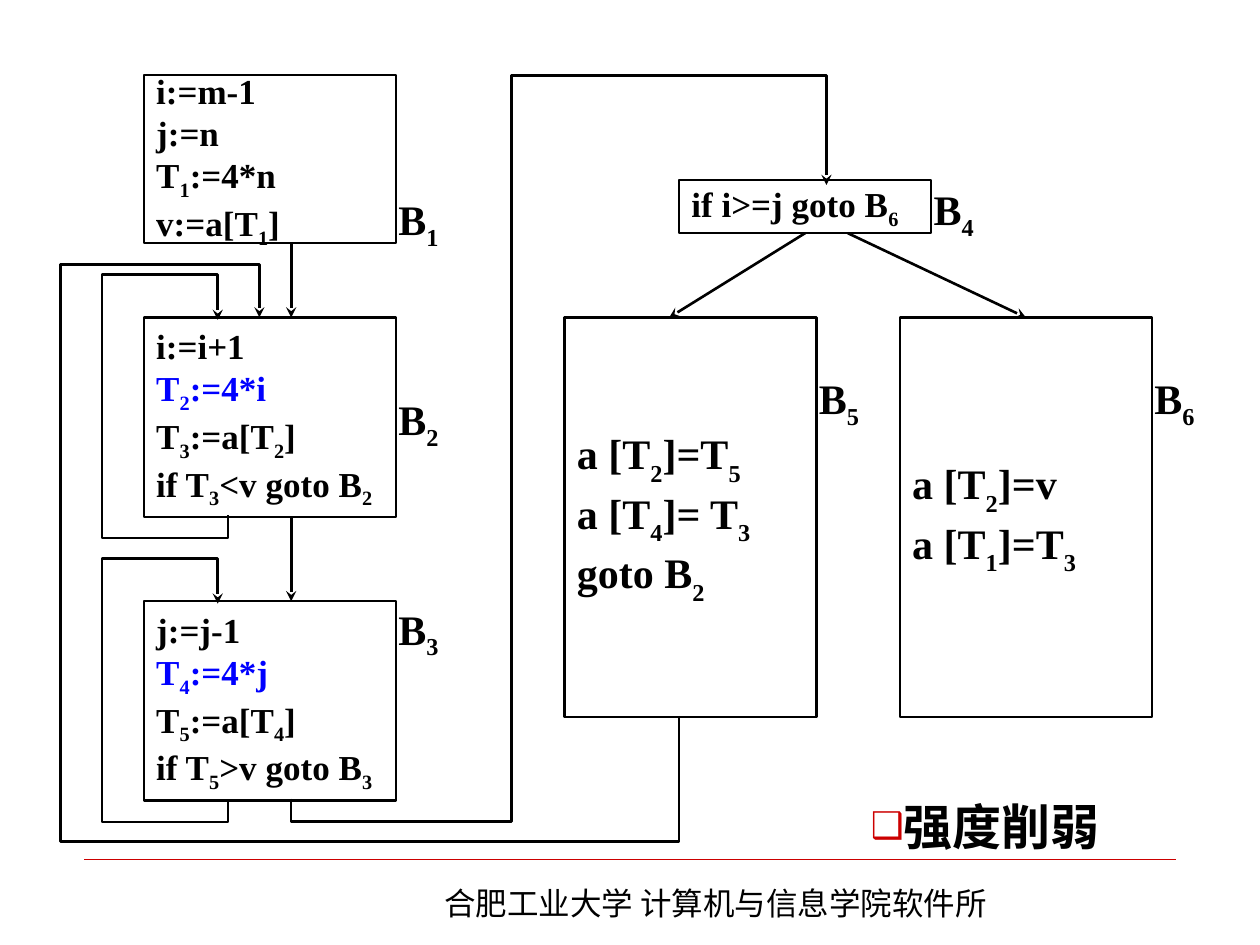
from lxml import etree
from pptx import Presentation
from pptx import util as u
from pptx.dml.color import RGBColor
from pptx.enum import shapes, text
from pptx.oxml import ns

BLACK = RGBColor(0x00, 0x00, 0x00)
BLUE = RGBColor(0x00, 0x00, 0xFF)
RED = RGBColor(0xCC, 0x00, 0x00)
SERIF, SANS = "Times New Roman", "Noto Sans CJK SC"

TOPIC = ("强度削弱", (17.3, 15.93, 5.79, 1.45))
FOOTER = ("合肥工业大学 计算机与信息学院软件所", (8.71, 17.7, 11.99, 1.02))
BLOCK_W, LABEL_SIZE, LABEL_OVERLAP = 5.08, 1.7, 0.2
CODE = {"size": u.Pt(20), "name": SERIF, "bold": True}
LARGE = {"size": u.Pt(24), "name": SERIF, "bold": True}
TOPIC_FORMAT = {"size": u.Pt(28), "name": SERIF, "bold": True}
FOOTER_FORMAT = {"size": u.Pt(18), "name": SANS, "bold": False}

BLOCKS = [
    ("B_1", 2.9, 1.52, 3.38, 3.63, CODE, ["i:=m-1", "j:=n", "T_1:=4*n", "v:=a[T_1]"]),
    ("B_2", 2.9, 6.4, 4.02, 7.67, CODE, ["i:=i+1", "T_2:=4*i", "T_3:=a[T_2]", "if T_3<v goto B_2"]),
    ("B_3", 2.9, 12.12, 4.02, 11.89, CODE, ["j:=j-1", "T_4:=4*j", "T_5:=a[T_4]", "if T_5>v goto B_3"]),
    ("B_4", 13.69, 3.63, 1.07, 3.43, CODE, ["if i>=j goto B_6"]),
    ("B_5", 11.38, 6.4, 8.05, 7.24, LARGE, ["a [T_2]=T_5", "a [T_4]= T_3", "goto B_2"]),
    ("B_6", 18.14, 6.4, 8.05, 7.24, LARGE, ["a [T_2]=v", "a [T_1]=T_3"]),
]
REDUCED = ("T_2:=4*i", "T_4:=4*j")

JUMPS = [
    (5.87, 4.9, 5.87, 6.4, None),
    (5.87, 10.41, 5.87, 12.12, None),
    (16.23, 4.7, 13.49, 6.4, None),
    (17.09, 4.7, 20.68, 6.4, "B_6"),
]
B2_LOOP = [(4.6, 10.39), (4.6, 10.85), (2.06, 10.85), (2.06, 5.54), (4.39, 5.54), (4.39, 6.45)]
LOOP_STEP = 5.72
ROUTES = [
    [(5.87, 16.1), (5.87, 16.56), (10.31, 16.56), (10.31, 1.52), (16.66, 1.52), (16.66, 3.73)],
    B2_LOOP,
    [(x, y + LOOP_STEP) for x, y in B2_LOOP],
    [(13.69, 14.43), (13.69, 16.97), (1.22, 16.97), (1.22, 5.33), (5.23, 5.33), (5.23, 6.4)],
]


def cm(*lengths):
    return [u.Cm(length) for length in lengths]


def add_xml(parent, tag, **attributes):
    return etree.SubElement(parent, ns.qn(tag), **attributes)


def write(frame, lines, formats, anchor=text.MSO_ANCHOR.MIDDLE, drop="-25000"):
    settings = {"word_wrap": True, "auto_size": text.MSO_AUTO_SIZE.NONE, "vertical_anchor": anchor}
    for key, value in settings.items():
        setattr(frame, key, value)
    for index, line in enumerate(lines):
        paragraph = frame.add_paragraph() if index else frame.paragraphs[0]
        paragraph.alignment = text.PP_ALIGN.LEFT
        paragraph.space_before = u.Pt(0)
        head, *tails = line.split("_")
        pieces = [(head, False)]
        for tail in tails:
            pieces += [(tail[0], True), (tail[1:], False)]
        for words, lowered in pieces:
            if not words:
                continue
            run = paragraph.add_run()
            run.text = words
            for key, value in formats.items():
                setattr(run.font, key, value)
            run.font.color.rgb = BLUE if line in REDUCED else BLACK
            properties = run._r.get_or_add_rPr()
            if lowered:
                properties.set("baseline", drop)
            if not words.isascii():
                add_xml(properties, "a:ea", typeface=SANS)


def draw_line(part, color, width, arrow=True):
    part.line.color.rgb = color
    part.line.width = u.Pt(width)
    if arrow:
        add_xml(part.line._get_or_add_ln(), "a:tailEnd", type="stealth")


def add_line(slide, x1, y1, x2, y2):
    line = slide.shapes.add_connector(shapes.MSO_CONNECTOR.STRAIGHT, *cm(x1, y1, x2, y2))
    add_xml(line._element.spPr, "a:effectLst")
    return line


def add_topic(slide):
    words, place = TOPIC
    topic = slide.placeholders[1]
    for key, value in zip(("left", "top", "width", "height"), cm(*place)):
        setattr(topic, key, value)
    properties = topic.text_frame.paragraphs[0]._p.get_or_add_pPr()
    properties.set("marL", "0")
    properties.set("indent", "0")
    add_xml(add_xml(properties, "a:buClr"), "a:srgbClr", val=str(RED))
    add_xml(properties, "a:buSzPct", val="75000")
    add_xml(properties, "a:buChar", char="❑")
    write(topic.text_frame, [words], TOPIC_FORMAT, text.MSO_ANCHOR.TOP)


def add_block(slide, label, left, top, height, label_top, formats, lines):
    block = slide.shapes.add_shape(shapes.MSO_SHAPE.RECTANGLE, *cm(left, top, BLOCK_W, height))
    block.shadow.inherit = False
    block.fill.background()
    draw_line(block, BLACK, 1.25, arrow=False)
    write(block.text_frame, lines, formats, drop="-30000" if formats is LARGE else "-25000")
    tag = slide.shapes.add_textbox(
        *cm(left + BLOCK_W - LABEL_OVERLAP, label_top, LABEL_SIZE, LABEL_SIZE))
    write(tag.text_frame, [label], LARGE)
    return block


def add_route(slide, points):
    start, *rest = [cm(*point) for point in points]
    builder = slide.shapes.build_freeform(*start)
    builder.add_line_segments(rest, close=False)
    route = builder.convert_to_shape()
    route.shadow.inherit = False
    route.fill.background()
    draw_line(route, BLACK, 1.5)


def main():
    deck = Presentation()
    deck.slide_width, deck.slide_height = cm(25.4, 19.05)
    slide = deck.slides.add_slide(deck.slide_layouts[1])
    title = slide.shapes.title._element
    title.getparent().remove(title)

    draw_line(add_line(slide, 1.7, 17.32, 23.7, 17.32), RED, 0.25, arrow=False)
    words, place = FOOTER
    footer = slide.shapes.add_textbox(*cm(*place))
    write(footer.text_frame, [words], FOOTER_FORMAT, text.MSO_ANCHOR.TOP)
    add_topic(slide)

    blocks = {block[0]: add_block(slide, *block) for block in BLOCKS}
    for *ends, target in JUMPS:
        jump = add_line(slide, *ends)
        draw_line(jump, BLACK, 1.5)
        if target:
            jump.end_connect(blocks[target], 0)
    for points in ROUTES:
        add_route(slide, points)
    deck.save("out.pptx")


if __name__ == "__main__":
    main()
